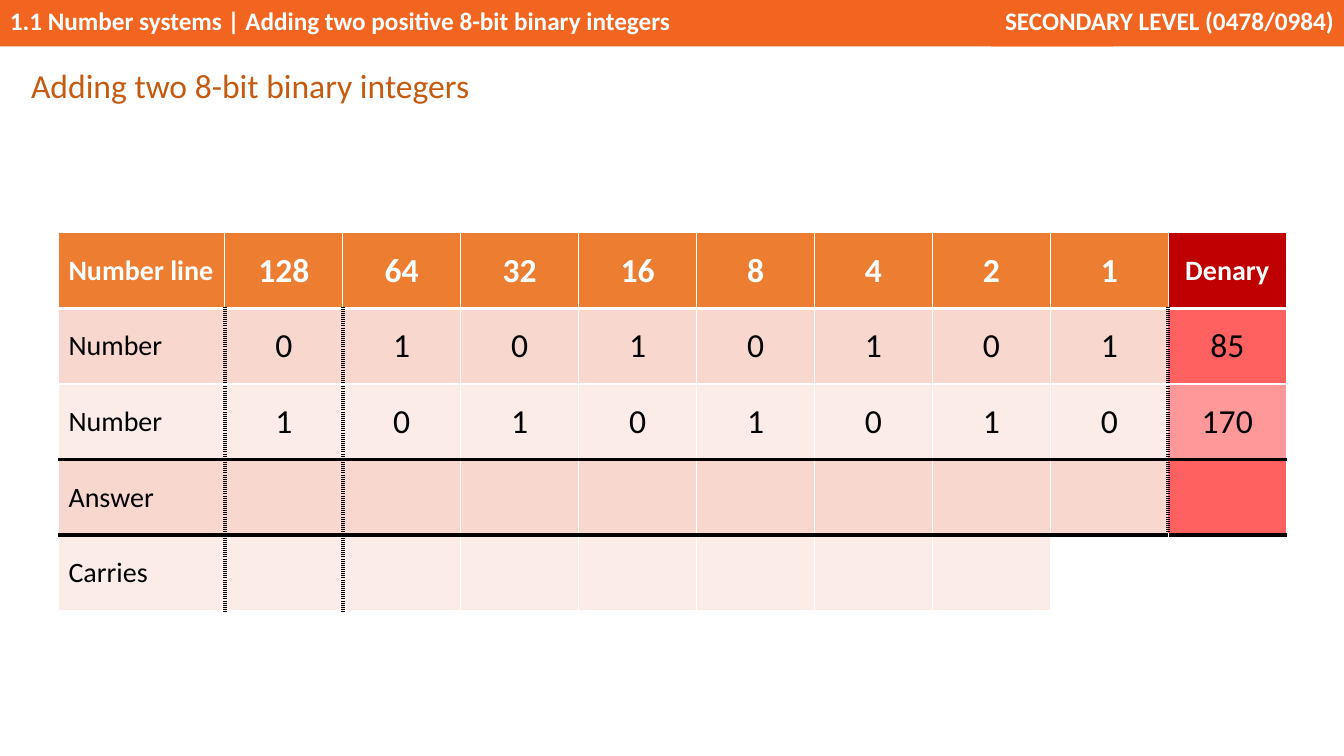
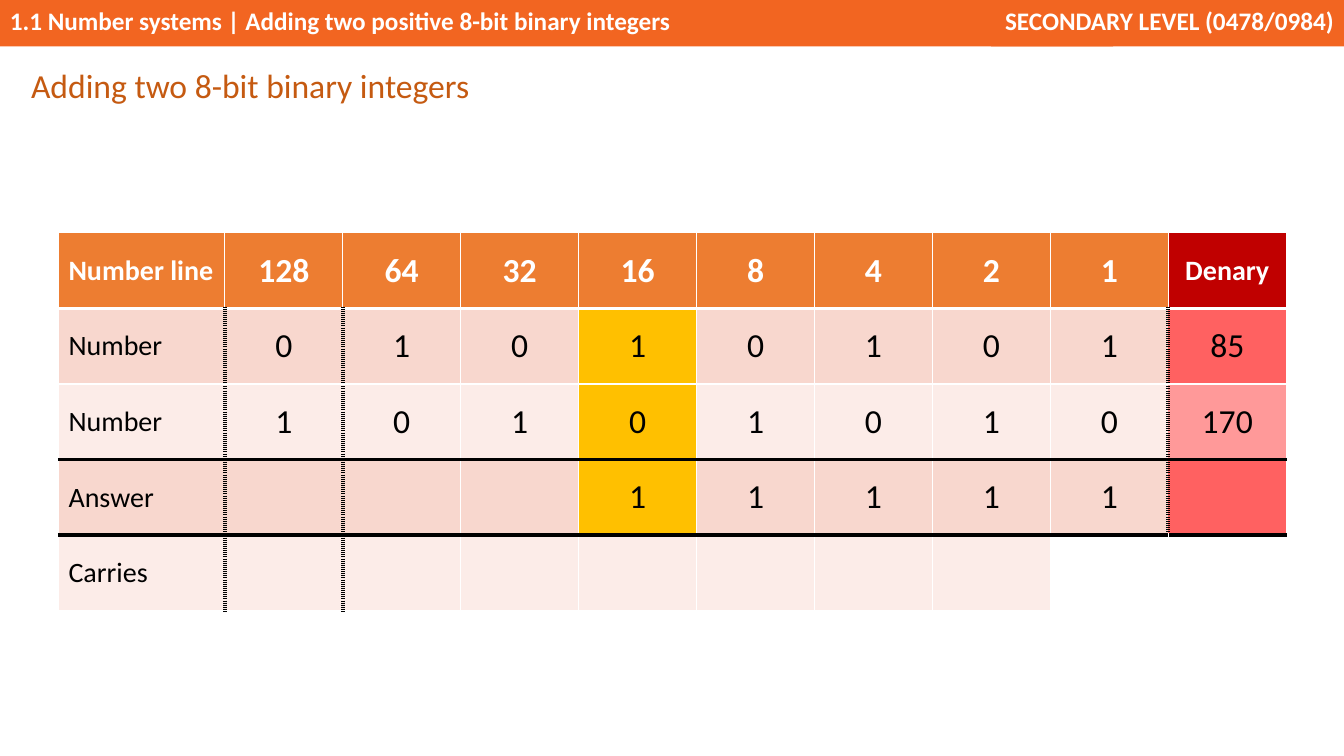
from lxml import etree
from pptx import Presentation
from pptx.dml import color
from pptx.enum import shapes, text
from pptx.oxml import ns
from pptx.util import Inches, Pt

ORANGE, TITLE, HEADER, HIGHLIGHT = "F26521", "C55A11", "ED7D31", "FFC000"
WHITE, BLACK = "FFFFFF", "000000"
BANDS = ["F8D7CE", "FCECE8"]
DENARY_FILLS = ["C00000", "FF6161", "FF9999", "FF6161", WHITE]
LABELS = ["Number line", "Number", "Number", "Answer", "Carries"]
ADDENDS = ["01010101", "10101010"]

THIN, THICK = (WHITE, 1, "solid"), (WHITE, 3, "solid")
RULE, DOTTED = (BLACK, 3, "solid"), (BLACK, 3, "dot")
ROW_LINES = [THIN, THICK, THIN, RULE, RULE, THIN]
DOTTED_EDGES = {1: range(1, 5), 2: range(1, 5), 9: range(1, 4)}


def style(paragraph, size, hue, bold=False, align=text.PP_ALIGN.LEFT):
    paragraph.alignment = align
    font = paragraph.font
    font.name, font.size, font.bold = "Calibri", Pt(size), bold
    font.color.rgb = color.RGBColor.from_string(hue)


def add_borders(cell, sides):
    properties = cell._tc.get_or_add_tcPr()
    for index, (side, (hue, width, dash)) in enumerate(sides.items()):
        line = etree.Element(ns.qn(f"a:ln{side}"), w=str(Pt(width)))
        fill = etree.SubElement(line, ns.qn("a:solidFill"))
        etree.SubElement(fill, ns.qn("a:srgbClr"), val=hue)
        etree.SubElement(line, ns.qn("a:prstDash"), val=dash)
        properties.insert(index, line)


prs = Presentation()
prs.slide_width, prs.slide_height = Inches(13.33), Inches(7.5)

for answer, marked in [(" " * 8, None), ("   11111", 4)]:
    slide = prs.slides.add_slide(prs.slide_layouts[6])

    for left, width, wording, align in [
        (0, 11.04, "1.1 Number systems | Adding two positive 8-bit binary integers", text.PP_ALIGN.LEFT),
        (9.83, 3.5, "SECONDARY LEVEL (0478/0984)", text.PP_ALIGN.RIGHT),
    ]:
        band = slide.shapes.add_shape(
            shapes.MSO_SHAPE.RECTANGLE, Inches(left), 0, Inches(width), Inches(0.46))
        band.shadow.inherit = False
        band.fill.solid()
        band.fill.fore_color.rgb = color.RGBColor.from_string(ORANGE)
        band.line.fill.background()
        band.text_frame.vertical_anchor = text.MSO_ANCHOR.TOP
        band.text_frame.text = wording
        style(band.text_frame.paragraphs[0], 18, WHITE, True, align)

    sums = slide.shapes.add_table(
        5, 10, Inches(0.58), Inches(2.31), Inches(12.17), Inches(3.75)).table
    sums.horz_banding = False
    for column, table_column in enumerate(sums.columns):
        table_column.width = Inches(1.17 if column else 1.65)

    place_values = [str(2 ** power) for power in range(7, -1, -1)]
    bit_rows = [place_values, *ADDENDS, answer, " " * 8]
    totals = ["Denary", *[str(int(bits, 2)) for bits in ADDENDS], "", ""]

    for row, (label, bits, total) in enumerate(zip(LABELS, bit_rows, totals)):
        for column, wording in enumerate([label, *bits, total]):
            cell = sums.cell(row, column)
            hue = BANDS[(row - 1) % 2] if row else HEADER
            if column == 9:
                hue = DENARY_FILLS[row]
            elif row == 4 and column == 8:
                hue = WHITE
            elif column == marked and row in (1, 2, 3):
                hue = HIGHLIGHT
            cell.fill.solid()
            cell.fill.fore_color.rgb = color.RGBColor.from_string(hue)
            cell.vertical_anchor = text.MSO_ANCHOR.MIDDLE
            cell.text = wording.strip()
            small = column == 0 or wording == "Denary"
            style(cell.text_frame.paragraphs[0], 20 if small else 24,
                  BLACK if row else WHITE, row == 0,
                  text.PP_ALIGN.CENTER if column else text.PP_ALIGN.LEFT)
            left_edge, right_edge = [
                DOTTED if row in DOTTED_EDGES.get(edge, ()) else THIN
                for edge in (column, column + 1)]
            add_borders(cell, {"L": left_edge, "R": right_edge,
                               "T": ROW_LINES[row], "B": ROW_LINES[row + 1]})

    title = slide.shapes.add_textbox(Inches(0.21), Inches(0.57), Inches(4.8), Inches(0.51))
    title.text_frame.word_wrap = True
    title.text_frame.text = "Adding two 8-bit binary integers"
    heading = title.text_frame.paragraphs[0]
    heading.line_spacing, heading.space_after = 1.07, Pt(8)
    style(heading, 24, TITLE)

prs.save("out.pptx")
